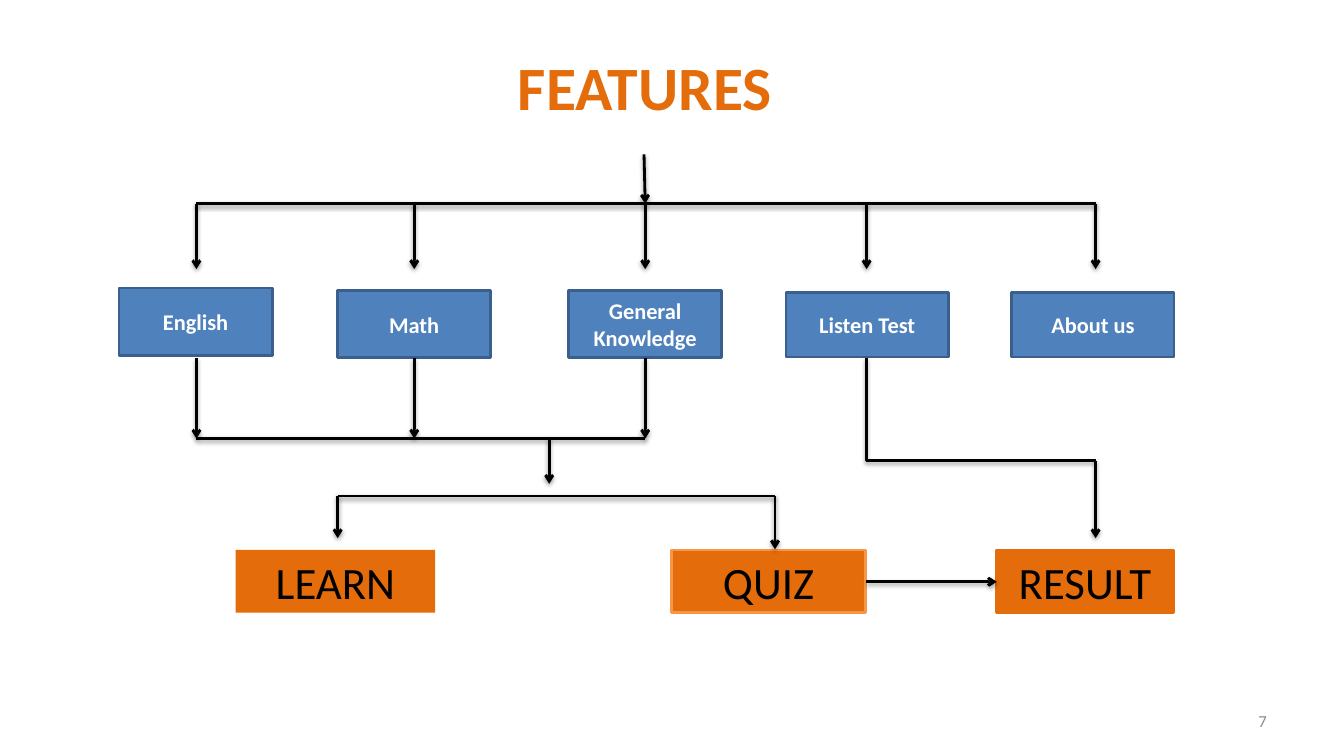
import dataclasses
import typing

import lxml.etree
import pptx
import pptx.dml.color
import pptx.enum.shapes
import pptx.enum.text
import pptx.oxml
import pptx.oxml.ns
import pptx.util

Cm = pptx.util.Cm
Align = pptx.enum.text.PP_ALIGN
Link = pptx.enum.shapes.MSO_CONNECTOR
qn = pptx.oxml.ns.qn


@dataclasses.dataclass(frozen=True)
class Theme:
    font: str = "Calibri"
    black: str = "000000"
    white: str = "FFFFFF"
    blue: str = "4F81BD"
    navy: str = "3A5F8C"
    orange: str = "E46C0A"
    peach: str = "F79646"
    grey: str = "8C8C8C"
    title: int = 44
    goal: int = 32
    topic: int = 16
    page: int = 12
    stroke: int = 2


THEME = Theme()


@dataclasses.dataclass(frozen=True)
class Box:
    """A filled box; lengths are in centimetres."""
    text: str
    left: float
    top: float
    width: float
    height: float
    fill: str
    edge: typing.Optional[str]
    size: int
    color: str
    bold: bool = False


@dataclasses.dataclass(frozen=True)
class Line:
    """A straight line; lengths are in centimetres."""
    x1: float
    y1: float
    x2: float
    y2: float
    arrow: bool = True


def topic(text: str, left: float, top: float, width: float, height: float) -> Box:
    return Box(text, left, top, width, height, THEME.blue, THEME.navy,
               THEME.topic, THEME.white, True)


def goal(text: str, left: float, width: float, edge: typing.Optional[str]) -> Box:
    return Box(text, left, 13.86, width, 1.58, THEME.orange, edge,
               THEME.goal, THEME.black)


# Column centres, then the levels of the chart from top to bottom
ENGLISH, MATH, GENERAL, LISTEN, ABOUT = COLUMNS = (4.95, 10.44, 16.26, 21.84, 27.61)
RAIL, TIP, FOOT, JOIN, BEND, FORK, LAND = 5.13, 6.78, 9.02, 11.05, 11.61, 12.5, 13.56
LEARN, QUIZ, STEM = 8.51, 19.53, 13.84

BOXES = (
    topic("English", 3, 7.26, 3.86, 1.7),
    topic("Math", 8.51, 7.32, 3.86, 1.7),
    topic("General Knowledge", 14.33, 7.32, 3.86, 1.7),
    topic("Listen Test", 19.81, 7.37, 4.09, 1.63),
    topic("About us", 25.5, 7.37, 4.09, 1.63),
    goal("LEARN", 5.94, 5.03, None),
    goal("QUIZ", 16.92, 4.9, THEME.peach),
    goal("RESULT", 25.12, 4.45, THEME.orange),
)

LINES = (
    Line(16.23, 3.89, GENERAL, RAIL),
    Line(ENGLISH, RAIL, ABOUT, RAIL, False),
    *(Line(x, RAIL, x, TIP) for x in COLUMNS),
    *(Line(x, FOOT, x, JOIN) for x in (ENGLISH, MATH, GENERAL)),
    Line(ENGLISH, JOIN, GENERAL, JOIN, False),
    Line(STEM, JOIN, STEM, 12.19),
    Line(LEARN, FORK, QUIZ, FORK, False),
    Line(LEARN, FORK, LEARN, LAND),
    Line(QUIZ, FORK, QUIZ, 13.84),
    Line(ABOUT, BEND, ABOUT, LAND),
    Line(21.82, 14.66, 25.12, 14.66),
)


def paint(code: str) -> pptx.dml.color.RGBColor:
    return pptx.dml.color.RGBColor.from_string(code)


def write(shape, text: str, *, size: int, color: str, bold: bool = False,
          align=Align.CENTER) -> None:
    frame = shape.text_frame
    frame.word_wrap = True
    frame.vertical_anchor = pptx.enum.text.MSO_ANCHOR.MIDDLE
    line = frame.paragraphs[0]
    line.alignment = align
    run = line.add_run()
    run.text = text
    run.font.name = THEME.font
    run.font.size = pptx.util.Pt(size)
    run.font.bold = bold
    run.font.color.rgb = paint(color)


def label(slide, text: str, left: float, top: float, width: float,
          height: float, **style) -> None:
    shape = slide.shapes.add_textbox(Cm(left), Cm(top), Cm(width), Cm(height))
    write(shape, text, **style)


def draw_box(slide, box: Box) -> None:
    shape = slide.shapes.add_shape(
        pptx.enum.shapes.MSO_SHAPE.RECTANGLE,
        Cm(box.left), Cm(box.top), Cm(box.width), Cm(box.height))
    shape.shadow.inherit = False
    shape.fill.solid()
    shape.fill.fore_color.rgb = paint(box.fill)
    if box.edge:
        shape.line.color.rgb = paint(box.edge)
        shape.line.width = pptx.util.Pt(THEME.stroke)
    else:
        shape.line.fill.background()
    write(shape, box.text, size=box.size, color=box.color, bold=box.bold)


def draw_line(slide, line: Line, kind=Link.STRAIGHT):
    """Draw a black line with a soft shadow below it."""
    link = slide.shapes.add_connector(
        kind, Cm(line.x1), Cm(line.y1), Cm(line.x2), Cm(line.y2))
    link.line.color.rgb = paint(THEME.black)
    link.line.width = pptx.util.Pt(THEME.stroke)
    props = link._element.spPr
    if line.arrow:
        lxml.etree.SubElement(props.find(qn("a:ln")), qn("a:tailEnd"), type="arrow")
    glow = lxml.etree.SubElement(props, qn("a:effectLst"))
    shade = lxml.etree.SubElement(glow, qn("a:outerShdw"), blurRad="40000",
                                  dist="20000", dir="5400000", rotWithShape="0")
    tint = lxml.etree.SubElement(shade, qn("a:srgbClr"), val=THEME.black)
    lxml.etree.SubElement(tint, qn("a:alpha"), val="38000")
    return link


def draw_bend(slide, x1: float, y1: float, x2: float, y2: float) -> None:
    """Draw a line that runs down and then right, with one corner."""
    mid_x, mid_y = (x1 + x2) / 2, (y1 + y2) / 2
    half_w, half_h = (y2 - y1) / 2, (x2 - x1) / 2
    frame = Line(mid_x - half_w, mid_y - half_h, mid_x + half_w, mid_y + half_h, False)
    props = draw_line(slide, frame, Link.ELBOW)._element.spPr
    turn = props.find(qn("a:xfrm"))
    turn.set("rot", "16200000")
    turn.set("flipH", "1")
    props.find(qn("a:prstGeom")).set("prst", "bentConnector2")


def main() -> None:
    deck = pptx.Presentation()
    deck.slide_width, deck.slide_height = Cm(33.87), Cm(19.05)
    slide = deck.slides.add_slide(deck.slide_layouts[6])
    label(slide, "FEATURES", 12.7, 0.58, 7.11, 3.18,
          size=THEME.title, color=THEME.orange, bold=True)
    for box in BOXES:
        draw_box(slide, box)
    for line in LINES:
        draw_line(slide, line)
    draw_bend(slide, LISTEN, FOOT, ABOUT, BEND)
    label(slide, "7", 24.28, 17.65, 7.9, 1.02,
          size=THEME.page, color=THEME.grey, align=Align.RIGHT)
    deck.save("out.pptx")


if __name__ == "__main__":
    main()
